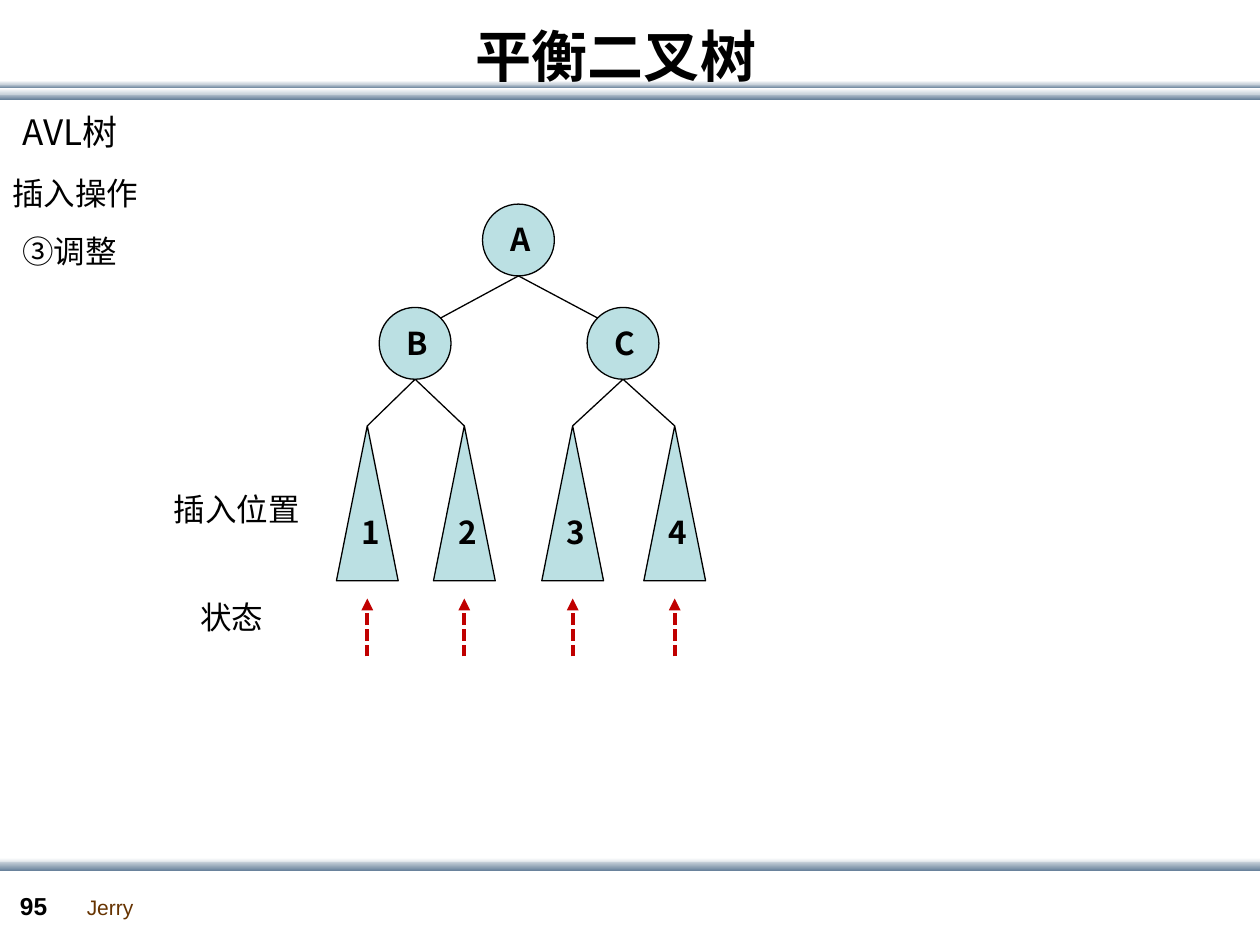
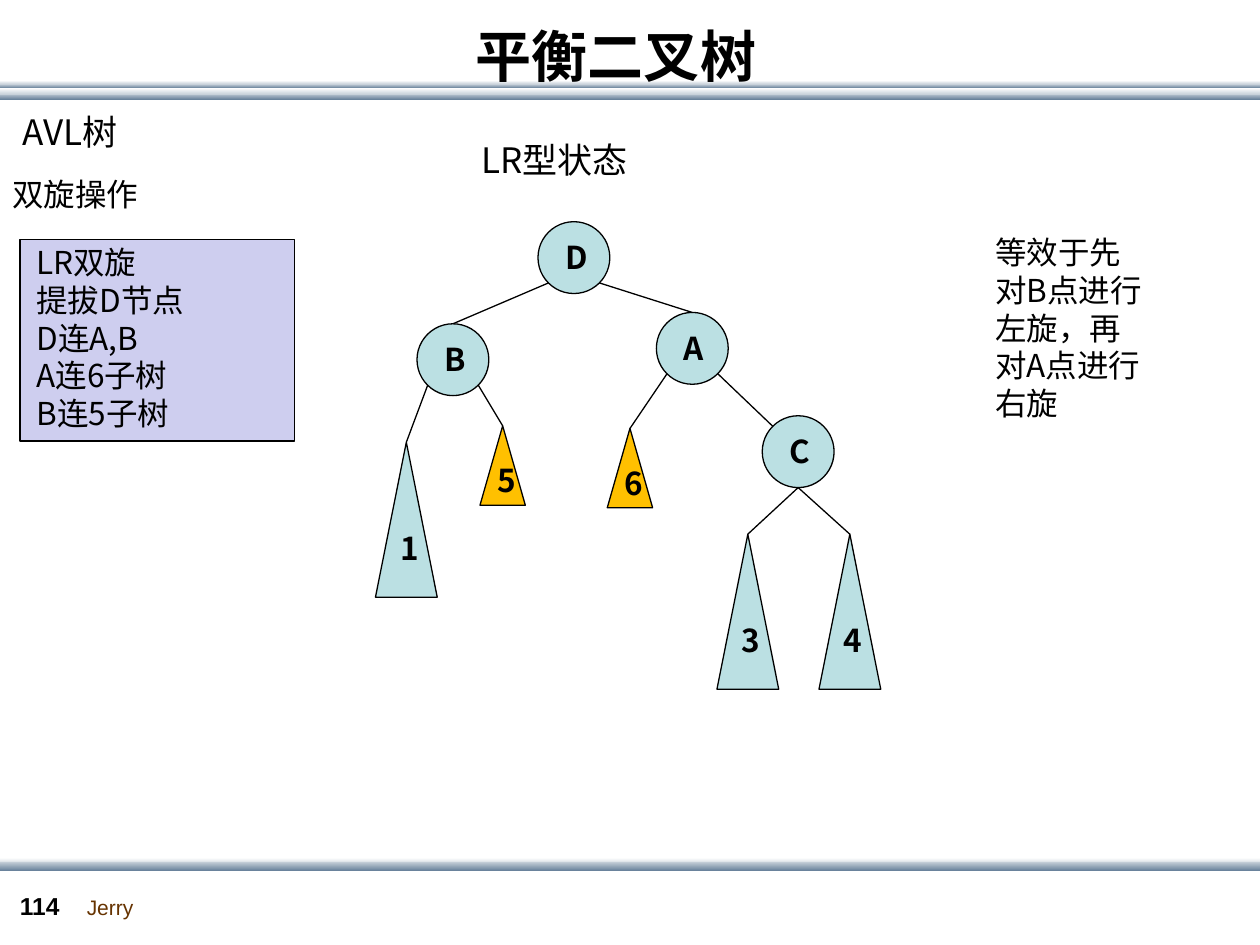
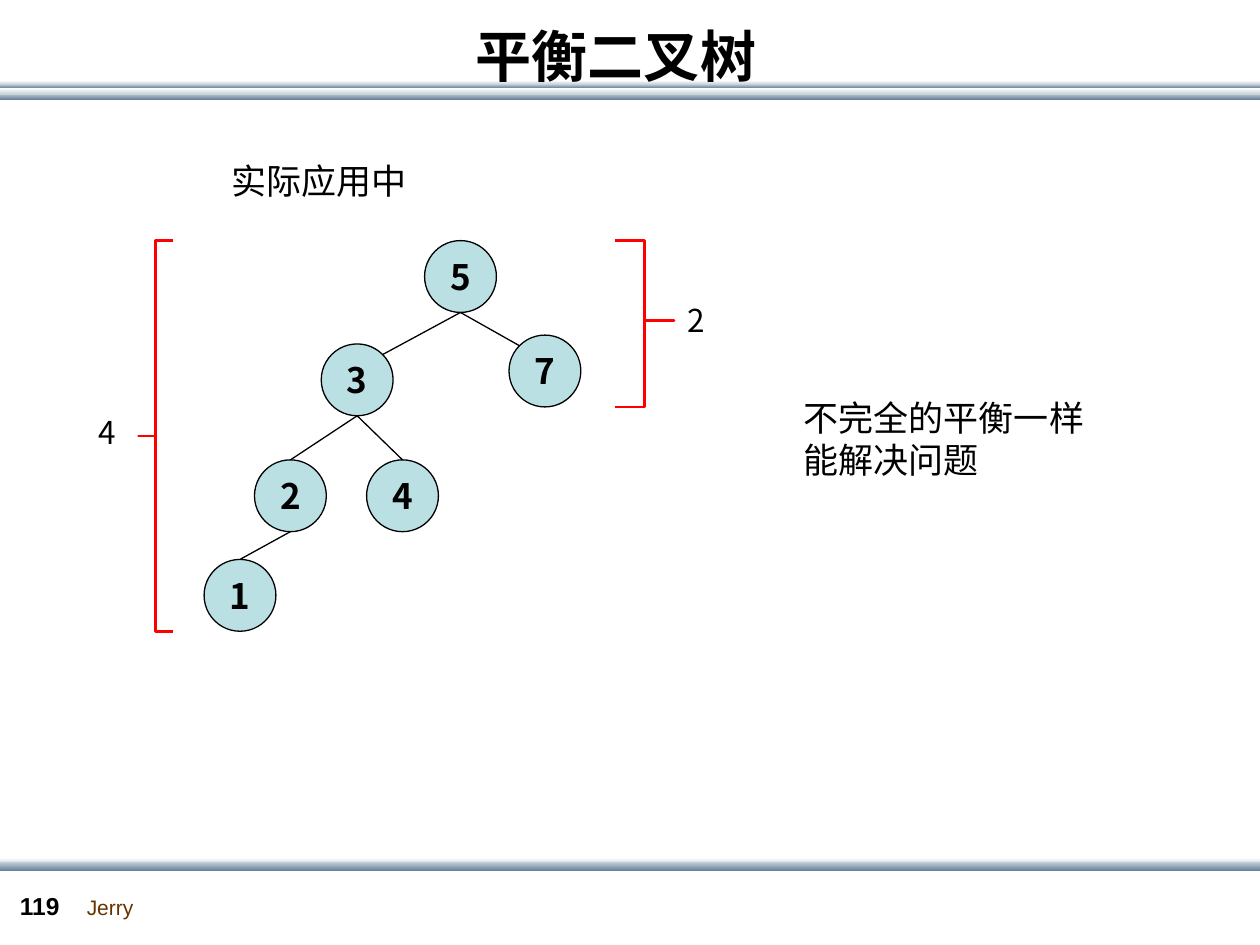
"""Build three slides on balanced binary trees and save them to out.pptx."""
import lxml.etree
import pptx
import pptx.dml.color
import pptx.enum.dml
import pptx.enum.shapes
import pptx.enum.text
import pptx.oxml.ns
import pptx.util

Inches = pptx.util.Inches
MSO_SHAPE = pptx.enum.shapes.MSO_SHAPE
qn = pptx.oxml.ns.qn
COLORS = {
    "ink": "000000", "author": "663300", "node": "BBE0E3", "moved": "FFC000",
    "panel": "CECEEF", "arrow": "C00000", "brace": "FF0000",
    "white": "FFFFFF", "mist": "C8D1DA", "steel": "6A839C",
}
RGB = {name: pptx.dml.color.RGBColor.from_string(code) for name, code in COLORS.items()}
CJK = "Noto Sans CJK SC"


def write(shape, text, size=18, bold=False, font=CJK, color="ink", centered=False):
    frame = shape.text_frame
    frame.text = text
    frame.word_wrap = True
    if centered:
        frame.vertical_anchor = pptx.enum.text.MSO_ANCHOR.MIDDLE
    else:
        frame.auto_size = pptx.enum.text.MSO_AUTO_SIZE.SHAPE_TO_FIT_TEXT
    for paragraph in frame.paragraphs:
        paragraph.alignment = pptx.enum.text.PP_ALIGN.CENTER if centered else pptx.enum.text.PP_ALIGN.LEFT
        for run in paragraph.runs:
            run.font.size = pptx.util.Pt(size)
            run.font.bold = bold
            run.font.name = font
            run.font.color.rgb = RGB[color]
            lxml.etree.SubElement(run._r.get_or_add_rPr(), qn("a:ea"), typeface=font)


def draw(slide, kind, box, fill=None, line="ink", width=0.75):
    shape = slide.shapes.add_shape(kind, *map(Inches, box))
    shape.shadow.inherit = False
    shape.line.color.rgb = RGB[line]
    shape.line.width = pptx.util.Pt(width)
    if fill:
        shape.fill.solid()
        shape.fill.fore_color.rgb = RGB[fill]
    else:
        shape.fill.background()
    return shape


BANDS = [
    (0.74, 0.05, "mist", "steel"), (0.67, 0.03, "mist", "steel"),
    (0.70, 0.05, "white", "mist"), (0.64, 0.03, "white", "mist"),
    (6.81, 0.05, "white", "mist"), (6.84, 0.07, "mist", "steel"),
]
PARTS = {
    "circle": (MSO_SHAPE.OVAL, 0.57, 0.57, "node", 0.12, 0.08),
    "subtree": (MSO_SHAPE.ISOSCELES_TRIANGLE, 0.49, 1.23, "node", 0.1, 0.64),
    "small subtree": (MSO_SHAPE.ISOSCELES_TRIANGLE, 0.36, 0.63, "moved", 0.04, 0.23),
}
SITES = {
    "top": (0.5, 0), "bottom": (0.5, 1),
    "upper left": (0.15, 0.15), "upper right": (0.85, 0.15),
    "lower left": (0.15, 0.85), "lower right": (0.85, 0.85),
}
LESSONS = [
    {
        "page": "95",
        "nodes": {
            "A": ("circle", 3.83, 1.62), "B": ("circle", 3.01, 2.44), "C": ("circle", 4.66, 2.44),
            "1": ("subtree", 2.67, 3.38), "2": ("subtree", 3.44, 3.38),
            "3": ("subtree", 4.3, 3.38), "4": ("subtree", 5.11, 3.38),
        },
        "edges": [
            ("A", "bottom", "B", "upper right"), ("A", "bottom", "C", "upper left"),
            ("B", "bottom", "1", "top"), ("B", "bottom", "2", "top"),
            ("C", "bottom", "3", "top"), ("C", "bottom", "4", "top"),
        ],
        "insertions": "1234",
        "notes": [
            ("AVL树", (0.08, 0.83, 1.07, 0.44), 20), ("插入操作", (0, 1.33, 1.4, 0.4), 18),
            ("③调整", (0.08, 1.79, 0.97, 0.4), 18), ("插入位置", (1.28, 3.84, 1.25, 0.4), 18),
            ("状态", (1.49, 4.7, 0.83, 0.4), 18),
        ],
    },
    {
        "page": "114",
        "nodes": {
            "D": ("circle", 4.27, 1.76), "B": ("circle", 3.31, 2.57),
            "A": ("circle", 5.21, 2.48), "C": ("circle", 6.05, 3.3),
            "1": ("subtree", 2.98, 3.51), "3": ("subtree", 5.69, 4.24), "4": ("subtree", 6.5, 4.24),
            "5": ("small subtree", 3.81, 3.38), "6": ("small subtree", 4.82, 3.4),
        },
        "edges": [
            ("D", "lower left", "B", "top"), ("D", "lower right", "A", "top"),
            ("B", "lower left", "1", "top"), ("B", "lower right", "5", "top"),
            ("A", "lower left", "6", "top"), ("A", "lower right", "C", "upper left"),
            ("C", "bottom", "3", "top"), ("C", "bottom", "4", "top"),
        ],
        "panel": (0.16, 1.9, 2.18, 1.6),
        "notes": [
            ("AVL树", (0.08, 0.83, 1.07, 0.44), 20), ("双旋操作", (0, 1.34, 1.4, 0.4), 18),
            ("LR型状态", (3.72, 1.05, 1.4, 0.44), 20),
            ("LR双旋\n提拔D节点\nD连A,B\nA连6子树\nB连5子树", (0.19, 1.88, 2.12, 1.62), 18),
            ("等效于先对B点进行左旋，再对A点进行右旋", (7.8, 1.8, 1.4, 1.62), 18),
        ],
    },
    {
        "page": "119",
        "nodes": {
            "5": ("circle", 3.37, 1.91), "3": ("circle", 2.55, 2.73), "7": ("circle", 4.04, 2.66),
            "2": ("circle", 2.02, 3.65), "4": ("circle", 2.91, 3.65), "1": ("circle", 1.62, 4.44),
        },
        "edges": [
            ("5", "bottom", "3", "upper right"), ("5", "bottom", "7", "upper left"),
            ("3", "bottom", "2", "top"), ("3", "bottom", "4", "top"), ("2", "bottom", "1", "top"),
        ],
        "keys inside": True,
        "heights": [
            (MSO_SHAPE.LEFT_BRACE, (1.1, 1.91, 0.27, 3.1), 0.5),
            (MSO_SHAPE.RIGHT_BRACE, (4.88, 1.91, 0.47, 1.32), 0.48),
        ],
        "notes": [
            ("4", (0.68, 3.23, 0.37, 0.4), 18), ("2", (5.36, 2.34, 0.37, 0.4), 18),
            ("实际应用中", (1.74, 1.22, 1.92, 0.44), 20),
            ("不完全的平衡一样能解决问题", (6.28, 3.1, 2.62, 0.77), 20),
        ],
    },
]

deck = pptx.Presentation()
deck.slide_width, deck.slide_height = Inches(10), Inches(7.5)

for lesson in LESSONS:
    slide = deck.slides.add_slide(deck.slide_layouts[6])
    textbox = slide.shapes.add_textbox

    for top, height, upper, lower in BANDS:
        band = draw(slide, MSO_SHAPE.RECTANGLE, (0, top, 10.01, height))
        band.line.fill.background()
        band.fill.gradient()
        band.fill.gradient_angle = 270
        for stop, shade in zip(band.fill.gradient_stops, (upper, lower)):
            stop.color.rgb = RGB[shade]
    write(textbox(*map(Inches, (0.59, 7.05, 0.58, 0.3))), "Jerry", 12, font="Arial", color="author")
    write(textbox(*map(Inches, (0.06, 7.02, 0.55, 0.33))), lesson["page"], 14, True, "Arial")
    write(textbox(*map(Inches, (0.39, -0.19, 9, 1.25))), "平衡二叉树", 32, True, centered=True)

    if "panel" in lesson:
        draw(slide, MSO_SHAPE.RECTANGLE, lesson["panel"], "panel")

    anchors = {}
    for key, (part, left, top) in lesson["nodes"].items():
        kind, width, height, fill, label_dx, label_dy = PARTS[part]
        node = draw(slide, kind, (left, top, width, height), fill)
        for site, (across, down) in SITES.items():
            anchors[key, site] = (left + across * width, top + down * height)
        if lesson.get("keys inside"):
            write(node, key, 20, True, centered=True)
        else:
            label = textbox(*map(Inches, (left + label_dx, top + label_dy, 0.33, 0.4)))
            write(label, key, bold=True)

    links = [(anchors[parent, start], anchors[child, end], False)
             for parent, start, child, end in lesson["edges"]]
    for key in lesson.get("insertions", ""):
        center = anchors[key, "top"][0]
        links.append(((center, 5.21), (center, 4.75), True))
    for start, end, is_insertion in links:
        link = slide.shapes.add_connector(
            pptx.enum.shapes.MSO_CONNECTOR.STRAIGHT, *map(Inches, start + end))
        link.line.color.rgb = RGB["arrow" if is_insertion else "ink"]
        link.line.width = pptx.util.Pt(2.25 if is_insertion else 0.75)
        if is_insertion:
            link.line.dash_style = pptx.enum.dml.MSO_LINE.SQUARE_DOT
            lxml.etree.SubElement(link.line._get_or_add_ln(), qn("a:tailEnd"), type="triangle")
        lxml.etree.SubElement(link._element.spPr, qn("a:effectLst"))

    for kind, box, tip in lesson.get("heights", []):
        brace = draw(slide, kind, box, line="brace", width=1.5)
        brace.adjustments[0] = 0
        brace.adjustments[1] = tip

    for text, box, size in lesson["notes"]:
        write(textbox(*map(Inches, box)), text, size)

deck.save("out.pptx")
